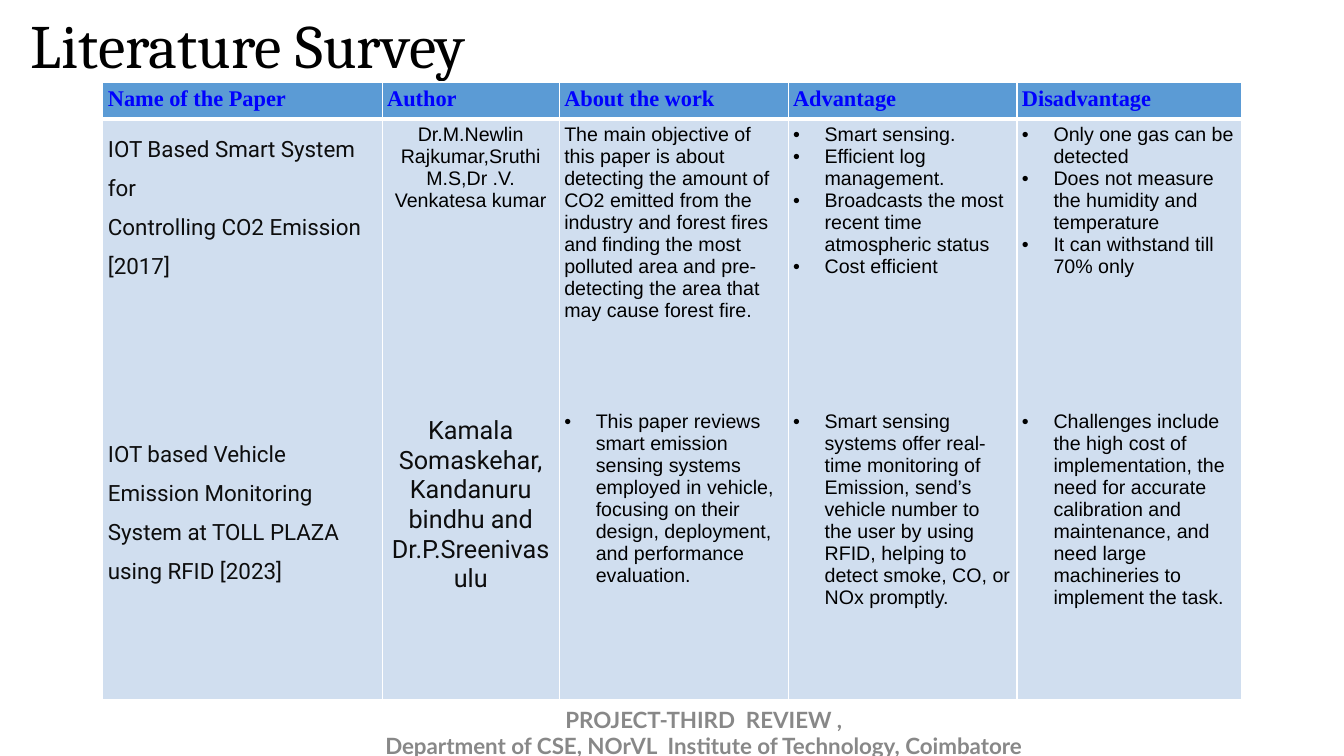
from lxml.etree import SubElement
from pptx import Presentation
from pptx.dml.color import RGBColor
from pptx.enum.text import MSO_ANCHOR, PP_ALIGN
from pptx.oxml.ns import qn
from pptx.util import Pt

COLORS = {
    "black": "000000", "ink": "0D0D0D", "gray": "888888", "blue": "0000FF",
    "header": "5B9BD5", "body": "D0DEEF", "white": "FFFFFF",
}

FONTS = {
    "title": {"name": "Cambria", "size": 44, "color": "black"},
    "footer": {"name": "Lato", "size": 16, "color": "gray", "bold": True},
    "header": {"name": "Times New Roman", "size": 16, "color": "blue", "bold": True},
    "paper": {"name": "Roboto", "size": 16, "color": "ink", "bold": False},
    "author": {"name": "Roboto", "size": 18, "color": "ink", "bold": False},
    "detail": {"name": "Arial", "size": 14, "color": "black", "bold": False},
}

PLAIN = {"alignment": PP_ALIGN.LEFT}
CENTERED = {"alignment": PP_ALIGN.CENTER}
SPACED = {"line_spacing": 1.5}

TITLE = [("Literature Survey", "title", {"line_spacing": 0.9}, False)]
FOOTER = [
    ("PROJECT-THIRD  REVIEW ,", "footer", CENTERED, False),
    ("Department of CSE, NOrVL  Institute of Technology, Coimbatore", "footer", CENTERED, False),
]
HEADERS = ["Name of the Paper", "Author", "About the work", "Advantage", "Disadvantage"]
SURVEY = [
    [
        ("IOT Based Smart System for", "paper", SPACED, False),
        ("Controlling CO2 Emission", "paper", SPACED, False),
        ("[2017]", "paper", SPACED, False),
        ("IOT based Vehicle Emission Monitoring System at TOLL PLAZA using RFID [2023]",
         "paper", {**SPACED, "space_before": Pt(106)}, False),
    ],
    [
        ("Dr.M.Newlin Rajkumar,Sruthi M.S,Dr .V. Venkatesa kumar", "detail", CENTERED, False),
        ("Kamala Somaskehar,", "author", {**CENTERED, "space_before": Pt(146)}, False),
        ("Kandanuru bindhu and Dr.P.Sreenivasulu", "author", CENTERED, False),
    ],
    [
        ("The main objective of this paper is about detecting the amount of CO2 emitted from "
         "the industry and forest fires and finding the most polluted area and pre- detecting "
         "the area that may cause forest fire.", "detail", PLAIN, False),
        ("This paper reviews smart emission sensing systems employed in vehicle, focusing on "
         "their design, deployment, and performance evaluation.",
         "detail", {"space_before": Pt(63)}, True),
    ],
    [
        ("Smart sensing.", "detail", PLAIN, True),
        ("Efficient log management.", "detail", PLAIN, True),
        ("Broadcasts the most recent time atmospheric status", "detail", PLAIN, True),
        ("Cost efficient", "detail", PLAIN, True),
        ("Smart sensing systems offer real-time monitoring of Emission, send’s vehicle number "
         "to the user by using RFID, helping to detect smoke, CO, or NOx promptly.",
         "detail", {"space_before": Pt(94.5)}, True),
    ],
    [
        ("Only one gas can be detected", "detail", PLAIN, True),
        ("Does not measure the humidity and temperature", "detail", PLAIN, True),
        ("It can withstand till 70% only", "detail", PLAIN, True),
        ("Challenges include the high cost of implementation, the need for accurate calibration "
         "and maintenance, and need large machineries to implement the task.",
         "detail", {"space_before": Pt(94.5)}, True),
    ],
]
COLUMN_WIDTHS = [199.5, 126.5, 163.5, 163.5, 160.5]
ROW_HEIGHTS = [26, 414.5]
MARGINS = dict.fromkeys(["margin_left", "margin_top", "margin_right", "margin_bottom"], Pt(3.6))


def apply(target, values):
    for name, value in values.items():
        setattr(target, name, value)


def write(text_frame, lines):
    for index, (text, font_key, formats, bulleted) in enumerate(lines):
        paragraph = text_frame.paragraphs[0] if index == 0 else text_frame.add_paragraph()
        apply(paragraph, formats)
        if bulleted:
            properties = paragraph._p.get_or_add_pPr()
            properties.set("marL", str(Pt(22.5)))
            properties.set("indent", str(-Pt(22.5)))
            SubElement(properties, qn("a:buFont"), typeface="Arial")
            SubElement(properties, qn("a:buChar"), char="•")
        run = paragraph.add_run()
        run.text = text
        font = FONTS[font_key]
        apply(run.font, {"name": font["name"], "size": Pt(font["size"]), "bold": font.get("bold")})
        run.font.color.rgb = RGBColor.from_string(COLORS[font["color"]])


def add_text(slide, box, lines, formats):
    text_frame = slide.shapes.add_textbox(*map(Pt, box)).text_frame
    apply(text_frame, {"word_wrap": True, **MARGINS, **formats})
    write(text_frame, lines)


def style_cell(cell, fill, borders):
    apply(cell, MARGINS)
    properties = cell._tc.get_or_add_tcPr()
    for side, width in borders.items():
        line = SubElement(properties, qn("a:ln" + side), w=str(Pt(width)))
        SubElement(SubElement(line, qn("a:solidFill")), qn("a:srgbClr"), val=COLORS["white"])
    cell.fill.solid()
    cell.fill.fore_color.rgb = RGBColor.from_string(COLORS[fill])


def add_survey(slide):
    frame = slide.shapes.add_table(2, len(HEADERS), Pt(73.5), Pt(58.5),
                                   Pt(sum(COLUMN_WIDTHS)), Pt(sum(ROW_HEIGHTS)))
    table = frame.table
    table.horz_banding = False
    for column, width in zip(table.columns, COLUMN_WIDTHS):
        column.width = Pt(width)
    for row, height in zip(table.rows, ROW_HEIGHTS):
        row.height = Pt(height)
    header_lines = [[(text, "header", PLAIN, False)] for text in HEADERS]
    rows = [
        (header_lines, "header", {"L": 1, "R": 1, "T": 1, "B": 3}),
        (SURVEY, "body", {"L": 1, "R": 1, "T": 3, "B": 1}),
    ]
    for row_index, (cells, fill, borders) in enumerate(rows):
        for column_index, lines in enumerate(cells):
            cell = table.cell(row_index, column_index)
            style_cell(cell, fill, borders)
            write(cell.text_frame, lines)


def main():
    presentation = Presentation()
    apply(presentation, {"slide_width": Pt(960), "slide_height": Pt(540)})
    slide = presentation.slides.add_slide(presentation.slide_layouts[6])
    add_text(slide, (240, 500.5, 525.5, 64), FOOTER, {"vertical_anchor": MSO_ANCHOR.TOP})
    add_text(slide, (12, 1.5, 828, 66), TITLE,
             {"vertical_anchor": MSO_ANCHOR.MIDDLE, "margin_left": Pt(10)})
    add_survey(slide)
    presentation.save("out.pptx")


if __name__ == "__main__":
    main()
